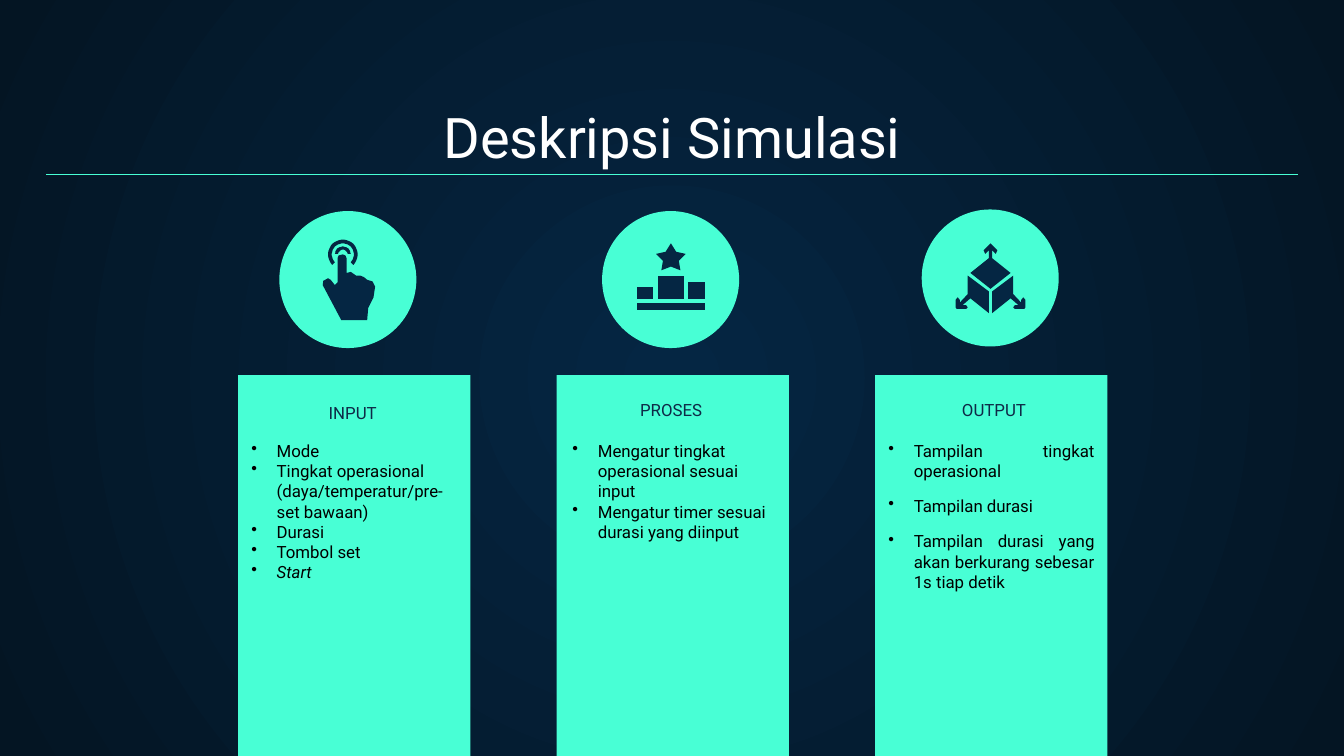
"""Build the slide that lists the input, process and output of the simulation."""
import math

import lxml.etree
import pptx
import pptx.dml.color
import pptx.enum.shapes
import pptx.enum.text
import pptx.oxml.ns
import pptx.util

Cm = pptx.util.Cm
Pt = pptx.util.Pt
qn = pptx.oxml.ns.qn
RGB = pptx.dml.color.RGBColor.from_string
Kind = pptx.enum.shapes.MSO_SHAPE
Align = pptx.enum.text.PP_ALIGN
Anchor = pptx.enum.text.MSO_ANCHOR

hues = {"mint": "48FFD5", "navy": "052643", "night": "041523",
        "head": "0E2A47", "white": "FFFFFF", "black": "000000"}


def paint(shape, hue):
    shape.shadow.inherit = False
    shape.fill.solid()
    shape.fill.fore_color.rgb = RGB(hues[hue])
    shape.line.fill.background()


def write(shape, lines, size, hue, align, anchor):
    frame = shape.text_frame
    frame.text = "\n".join(lines)
    frame.word_wrap = True
    frame.auto_size = pptx.enum.text.MSO_AUTO_SIZE.NONE
    frame.vertical_anchor = anchor
    frame.margin_left = frame.margin_right = Cm(0.25)
    frame.margin_top = frame.margin_bottom = Cm(0.25)
    for para in frame.paragraphs:
        para.alignment = align
        for run in para.runs:
            run.font.size = Pt(size)
            run.font.name = "Roboto"
            run.font.color.rgb = RGB(hues[hue])


deck = pptx.Presentation()
deck.slide_width, deck.slide_height = Cm(25.4), Cm(14.29)
slide = deck.slides.add_slide(deck.slide_layouts[5])
shapes = slide.shapes

back = slide.background.fill
back.gradient()
for stop, hue in zip(back.gradient_stops, ("navy", "night")):
    stop.color.rgb = RGB(hues[hue])
grad = slide.element.find(".//" + qn("a:gradFill"))
grad.remove(grad.find(qn("a:lin")))
glow = lxml.etree.SubElement(grad, qn("a:path"), path="circle")
lxml.etree.SubElement(glow, qn("a:fillToRect"), l="50000", t="50000", r="50000", b="50000")

title = shapes.title
title.left, title.top, title.width, title.height = Cm(0.87), Cm(1.78), Cm(23.67), Cm(1.68)
write(title, ["Deskripsi Simulasi"], 30, "white", Align.CENTER, Anchor.BOTTOM)

rule = shapes.add_connector(pptx.enum.shapes.MSO_CONNECTOR.STRAIGHT,
                            Cm(0.87), Cm(3.3), Cm(24.53), Cm(3.3))
rule.line.color.rgb = RGB(hues["mint"])
rule.line.width = Pt(0.75)
lxml.etree.SubElement(rule.element.spPr, qn("a:effectLst"))

hand = [(-10, -48), (-18, -46), (-20, -41), (-20, 5), (-25, 10), (-33, 0), (-38, -3), (-47, 2),
        (-48, 10), (-13, 76), (36, 76), (38, 53), (48, 33), (51, 13), (46, 3), (36, 0),
        (30, -5), (23, -8), (15, -8), (5, -15), (-3, -13), (-3, -41), (-5, -46)]
rings = []
for outer, inner, start, end in ((28, 21, 135, 405), (15, 9, 185, 355)):
    turns = [math.radians(deg) for deg in range(start, end + 1, 10)]
    rings.append([(-10 + rad * math.cos(turn), -48 + rad * math.sin(turn))
                  for rad, row in ((outer, turns), (inner, turns[::-1])) for turn in row])

star = [(0, -69), (10, -53), (28, -49), (15, -36), (18, -18), (0, -25),
        (-18, -18), (-15, -36), (-28, -49), (-10, -53)]
steps = [[(left, top), (right, top), (right, base), (left, base)]
         for left, top, right, base in ((-64, 13, -33, 36), (-25, -8, 25, 36),
                                        (33, 5, 64, 36), (-64, 43, 64, 58))]

roof = [(0, -66), (13, -53), (10, -46), (3, -53), (3, -38), (38, -10), (0, 20),
        (-38, -10), (-3, -38), (-3, -53), (-10, -46), (-13, -53)]
side = [(43, -5), (3, 25), (3, 66), (38, 38), (53, 51), (46, 51), (43, 55), (46, 58),
        (64, 58), (66, 55), (66, 41), (62, 36), (58, 41), (58, 46), (43, 30)]
cube = [roof, side, [(-x, y) for x, y in side]]

cards = [
    ("INPUT", 3.78, 7.72, 4.5, 5.28, 3.99, [hand, *rings], Align.LEFT, 0,
     ["Mode", "Tingkat operasional (daya/temperatur/pre-set bawaan)", "Durasi",
      "Tombol set", "Start"]),
    ("PROSES", 9.8, 7.65, 10.57, 11.38, 3.99, [star, *steps], Align.LEFT, 0,
     ["Mengatur tingkat operasional sesuai input", "Mengatur timer sesuai durasi yang diinput"]),
    ("OUTPUT", 15.9, 7.65, 16.54, 17.42, 3.96, cube, Align.JUSTIFY, 8,
     ["Tampilan tingkat operasional", "Tampilan durasi",
      "Tampilan durasi yang akan berkurang sebesar 1s tiap detik"]),
]
for num, (name, nx, ny, bx, cx, cy, icon, align, gap, items) in enumerate(cards):
    card = shapes.add_shape(Kind.RECTANGLE, Cm(4.5 + num * 6.02), Cm(7.09), Cm(4.39), Cm(7.2))
    paint(card, "mint")

    head = shapes.add_textbox(Cm(nx), Cm(ny), Cm(5.77), Cm(0.53))
    write(head, [name], 9, "head", Align.CENTER, Anchor.BOTTOM)

    body = shapes.add_textbox(Cm(bx), Cm(8.08), Cm(4.39), Cm(1.4))
    write(body, items, 9, "black", align, Anchor.TOP)
    for para in body.text_frame.paragraphs:
        para.space_after = Pt(gap)
        para.font.italic = None
        props = para._p.get_or_add_pPr()
        props.set("marL", str(Cm(0.48)))
        props.set("indent", str(-Cm(0.48)))
        mark = props.makeelement(qn("a:buChar"), {"char": "•"})
        props.find(qn("a:defRPr")).addprevious(mark)
        para.runs[0].font.italic = para.text == "Start"

    disc = shapes.add_shape(Kind.OVAL, Cm(cx), Cm(cy), Cm(2.59), Cm(2.59))
    paint(disc, "mint")
    for points in icon:
        pen = shapes.build_freeform(*points[0], scale=Cm(0.01))
        pen.add_line_segments(points[1:], close=True)
        paint(pen.convert_to_shape(Cm(cx + 1.3), Cm(cy + 1.3)), "navy")

deck.save("out.pptx")
